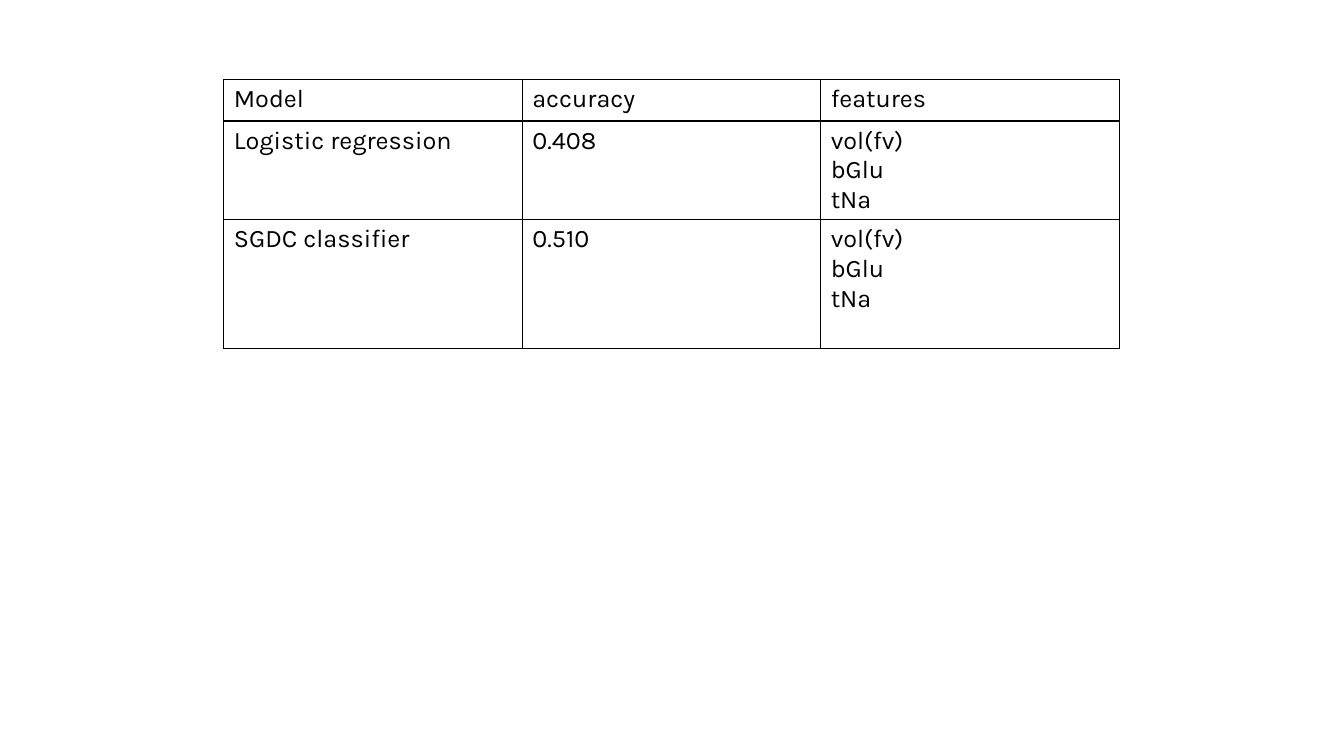
from dataclasses import dataclass

from lxml import etree
from pptx import Presentation
from pptx import util as u
from pptx.dml.color import RGBColor
from pptx.oxml import ns

BLACK = RGBColor(0x00, 0x00, 0x00)
WHITE = RGBColor(0xFF, 0xFF, 0xFF)
FONT = "Karla"


@dataclass(frozen=True)
class Row:
    height: float
    model: str
    accuracy: str
    features: str


FEATURES = "vol(fv)\nbGlu\ntNa"
ROWS = [
    Row(0.41, "Model", "accuracy", "features"),
    Row(0.98, "Logistic regression", "0.408", FEATURES),
    Row(1.28, "SGDC classifier", "0.510", FEATURES),
]
LEFT, TOP, COL_WIDTH = 2.22, 0.79, 2.96


def write_text(tf, content: str, *, size: float = 18, font: str = FONT,
               color: RGBColor = BLACK) -> None:
    """Write each line of content as its own paragraph."""
    for i, line in enumerate(content.split("\n")):
        p = tf.add_paragraph() if i else tf.paragraphs[0]
        r = p.add_run()
        r.text = line
        r.font.size = u.Pt(size)
        r.font.name = font
        r.font.color.rgb = color


def add_borders(cell, color: RGBColor = BLACK, width: float = 1) -> None:
    tc_pr = cell._tc.get_or_add_tcPr()
    for side in ("L", "R", "T", "B"):
        ln = etree.SubElement(tc_pr, ns.qn(f"a:ln{side}"), w=str(u.Pt(width)))
        fill = etree.SubElement(ln, ns.qn("a:solidFill"))
        etree.SubElement(fill, ns.qn("a:srgbClr"), val=str(color))


def add_model_table(s, rows: list[Row]) -> None:
    height = sum(row.height for row in rows)
    table = s.shapes.add_table(len(rows), 3, u.Inches(LEFT), u.Inches(TOP),
                               u.Inches(3 * COL_WIDTH), u.Inches(height)).table
    table.first_row = table.horz_banding = False
    for column in table.columns:
        column.width = u.Inches(COL_WIDTH)
    for i, row in enumerate(rows):
        table.rows[i].height = u.Inches(row.height)
        for j, content in enumerate((row.model, row.accuracy, row.features)):
            cell = table.cell(i, j)
            write_text(cell.text_frame, content)
            add_borders(cell)
            cell.fill.solid()
            cell.fill.fore_color.rgb = WHITE


def main() -> None:
    prs = Presentation()
    prs.slide_width, prs.slide_height = u.Inches(13.33), u.Inches(7.5)
    s = prs.slides.add_slide(prs.slide_layouts[6])
    add_model_table(s, ROWS)
    prs.save("out.pptx")


if __name__ == "__main__":
    main()
